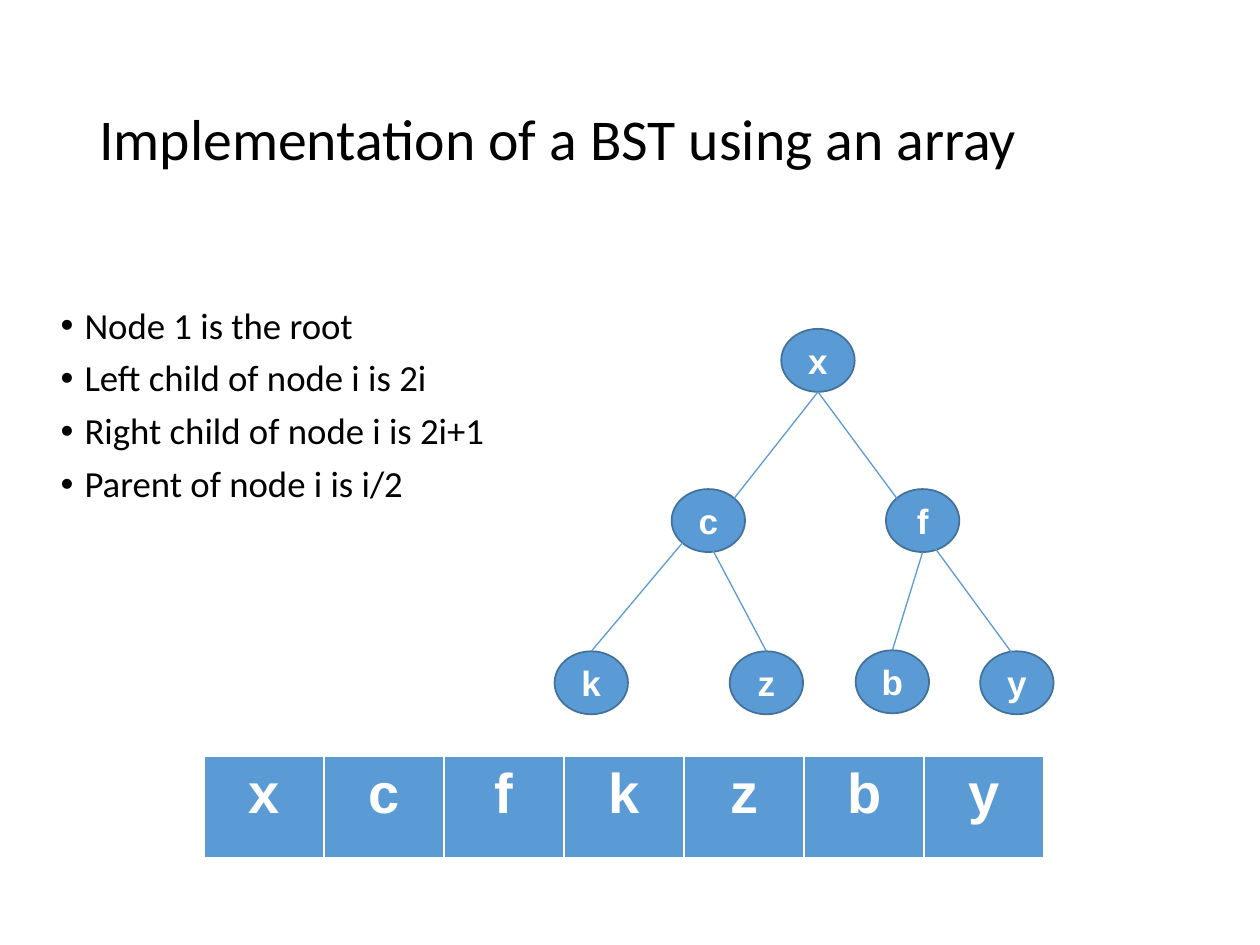
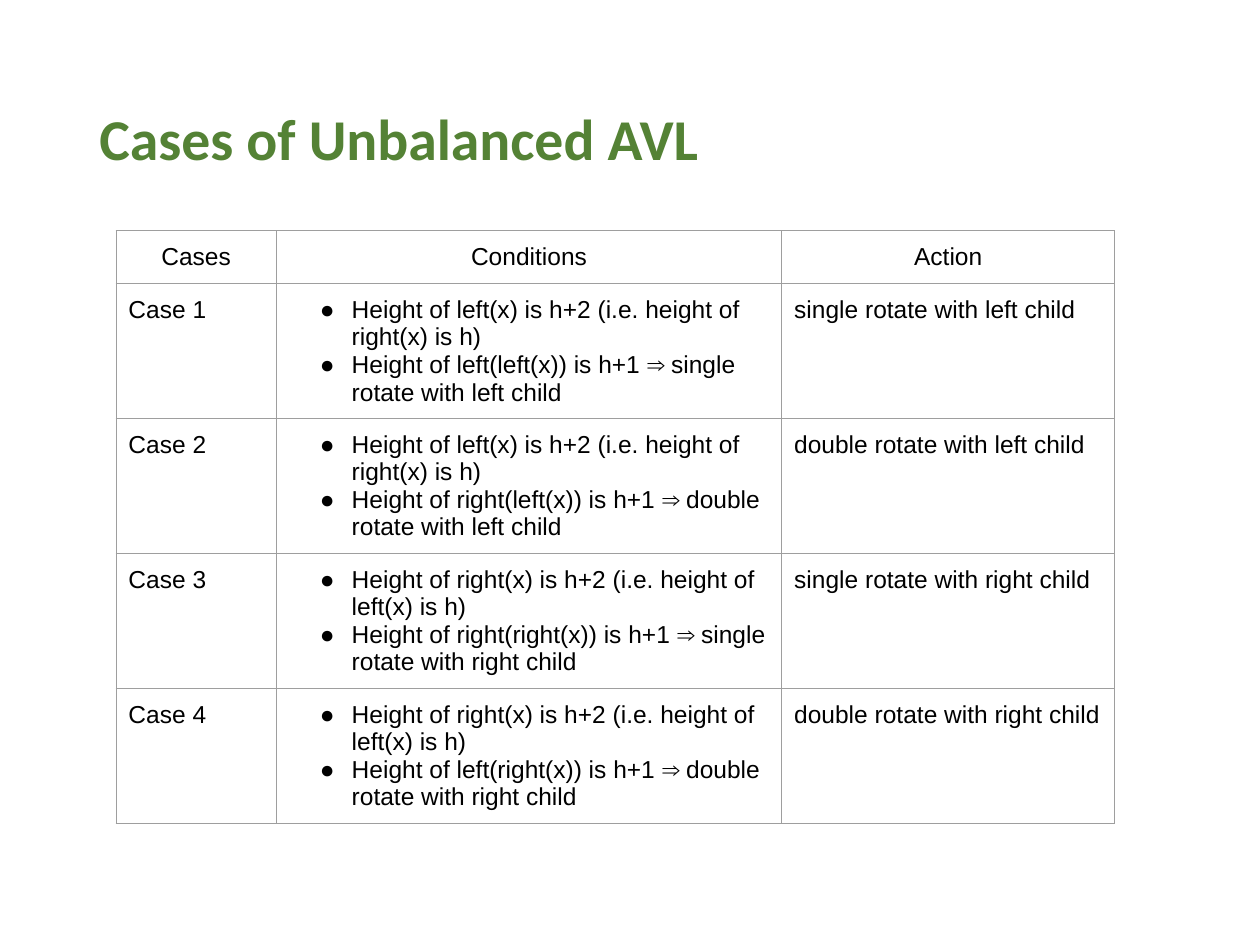
from dataclasses import dataclass

from lxml.etree import SubElement
from pptx import Presentation
from pptx.dml.color import RGBColor
from pptx.enum.shapes import MSO_CONNECTOR as Link, MSO_SHAPE as Form
from pptx.enum.text import MSO_ANCHOR as Anchor, MSO_AUTO_SIZE as Fit, PP_ALIGN as Align
from pptx.oxml.ns import qn
from pptx.slide import Slide
from pptx.table import Table, _Cell as Cell
from pptx.text.text import TextFrame as Frame, _Paragraph as Para
from pptx.util import Cm, Pt

HUES = {"black": "000000", "white": "FFFFFF", "blue": "5B9BD5",
        "navy": "42719B", "green": "548235", "grey": "9E9E9E"}
NODE_W, NODE_H = 1.48, 1.27

Point = tuple[float, float]
TOP, BASE = (0.5, 0), (0.5, 1)
TOP_LEFT, TOP_RIGHT, LOW_LEFT = (0.15, 0.15), (0.85, 0.15), (0.15, 0.85)


@dataclass(frozen=True)
class Style:
    size: int
    font: str = "Arial"
    hue: str = "black"
    bold: bool = False


@dataclass(frozen=True)
class Node:
    key: str
    left: float
    top: float

    def at(self, spot: Point) -> Point:
        """Slide point for a spot given as shares of the node's box."""
        return self.left + spot[0] * NODE_W, self.top + spot[1] * NODE_H


@dataclass(frozen=True)
class Edge:
    up: str
    down: str
    start: Point = BASE
    end: Point = TOP


@dataclass(frozen=True)
class Case:
    tall: str
    low: str
    inner: str
    turn: str

    @property
    def action(self) -> str:
        return f"{self.turn} rotate with {self.tall} child"

    @property
    def rules(self) -> list[str]:
        return [f"Height of {self.tall}(x) is h+2 (i.e. height of {self.low}(x) is h)",
                f"Height of {self.inner}({self.tall}(x)) is h+1 ⇒ {self.action}"]


HEAD = Style(33, "Calibri")
GREEN_HEAD = Style(33, "Calibri", "green", True)
LIST = Style(21, "Calibri")
KEY = Style(20, hue="white", bold=True)
SLOT = Style(32, hue="white", bold=True)
GRID = Style(14)

FACTS = ["Node 1 is the root", "Left child of node i is 2i",
         "Right child of node i is 2i+1", "Parent of node i is i/2"]
NODES = [Node("x", 15.75, 6.63), Node("c", 13.54, 9.86), Node("f", 17.86, 9.86),
         Node("k", 11.18, 13.13), Node("z", 14.71, 13.13),
         Node("b", 17.25, 13.11), Node("y", 19.76, 13.13)]
EDGES = [Edge("x", "c", end=TOP_RIGHT), Edge("x", "f", end=TOP_LEFT),
         Edge("f", "y", (0.67, 0.94), (0.44, 0.04)), Edge("c", "z", (0.52, 0.88)),
         Edge("f", "b"), Edge("c", "k", LOW_LEFT)]
CASES = [Case("left", "right", "left", "single"), Case("left", "right", "right", "double"),
         Case("right", "left", "right", "single"), Case("right", "left", "left", "double")]


def tint(name: str) -> RGBColor:
    return RGBColor.from_string(HUES[name])


def write(para: Para, text: str, style: Style, align: Align = Align.LEFT) -> None:
    para.alignment = align
    run = para.add_run()
    run.text = text
    font = run.font
    font.name, font.size, font.bold = style.font, Pt(style.size), style.bold
    font.color.rgb = tint(style.hue)


def mark(para: Para, sign: str, left: float, hang: float) -> None:
    """Give a paragraph a hanging bullet."""
    props = para._p.get_or_add_pPr()
    props.set("marL", str(Cm(left)))
    props.set("indent", str(-Cm(hang)))
    SubElement(props, qn("a:buFont"), typeface="Arial")
    SubElement(props, qn("a:buChar"), char=sign)


def write_list(frame: Frame, items: list[str], style: Style, sign: str,
               left: float, hang: float) -> None:
    for i, item in enumerate(items):
        para = frame.add_paragraph() if i else frame.paragraphs[0]
        write(para, item, style)
        mark(para, sign, left, hang)


def place(shape, left: float, top: float, width: float, height: float) -> None:
    shape.left, shape.top = Cm(left), Cm(top)
    shape.width, shape.height = Cm(width), Cm(height)


def set_title(slide: Slide, text: str, style: Style) -> None:
    title = slide.shapes.title
    place(title, 1.75, 1.02, 21.9, 3.68)
    frame = title.text_frame
    frame.auto_size, frame.vertical_anchor = Fit.NONE, Anchor.MIDDLE
    para = frame.paragraphs[0]
    para.line_spacing = 0.9
    write(para, text, style)


def edge_cell(cell: Cell, hue: str, widths: dict[str, float]) -> None:
    """Draw a cell's borders; call before setting its fill."""
    props = cell._tc.get_or_add_tcPr()
    for side, width in widths.items():
        line = SubElement(props, qn(f"a:ln{side}"), w=str(Pt(width)))
        fill = SubElement(line, qn("a:solidFill"))
        SubElement(fill, qn("a:srgbClr"), val=HUES[hue])


def add_grid(slide: Slide, left: float, top: float,
             cols: list[float], rows: list[float]) -> Table:
    grid = slide.shapes.add_table(len(rows), len(cols), Cm(left), Cm(top),
                                  Cm(sum(cols)), Cm(sum(rows))).table
    grid.first_row = grid.horz_banding = False
    for col, width in zip(grid.columns, cols):
        col.width = Cm(width)
    for row, height in zip(grid.rows, rows):
        row.height = Cm(height)
    return grid


def add_node(slide: Slide, node: Node) -> None:
    oval = slide.shapes.add_shape(Form.OVAL, Cm(node.left), Cm(node.top),
                                  Cm(NODE_W), Cm(NODE_H))
    oval.shadow.inherit = False
    oval.fill.solid()
    oval.fill.fore_color.rgb = tint("blue")
    oval.line.color.rgb, oval.line.width = tint("navy"), Pt(1)
    oval.text_frame.vertical_anchor = Anchor.MIDDLE
    write(oval.text_frame.paragraphs[0], node.key, KEY, Align.CENTER)


def add_edge(slide: Slide, start: Point, end: Point) -> None:
    line = slide.shapes.add_connector(Link.STRAIGHT, *map(Cm, start + end))
    line.line.color.rgb, line.line.width = tint("blue"), Pt(0.75)
    SubElement(line._element.spPr, qn("a:effectLst"))


def add_tree(slide: Slide) -> None:
    nodes = {node.key: node for node in NODES}
    for node in NODES:
        add_node(slide, node)
    for edge in EDGES:
        add_edge(slide, nodes[edge.up].at(edge.start), nodes[edge.down].at(edge.end))


def add_array(slide: Slide) -> None:
    grid = add_grid(slide, 4.11, 15.24, [2.42] * len(NODES), [2.08])
    for cell, node in zip(grid.iter_cells(), NODES):
        edge_cell(cell, "white", {"L": 1, "R": 1, "T": 1, "B": 3})
        cell.fill.solid()
        cell.fill.fore_color.rgb = tint("blue")
        write(cell.text_frame.paragraphs[0], node.key, SLOT, Align.CENTER)


def build_array(deck: Presentation) -> None:
    slide = deck.slides.add_slide(deck.slide_layouts[1])
    set_title(slide, "Implementation of a BST using an array", HEAD)
    body = slide.placeholders[1]
    place(body, 0.97, 6.07, 21.9, 12.09)
    frame = body.text_frame
    frame.auto_size = Fit.NONE
    write_list(frame, FACTS, LIST, "•", 0.48, 0.48)
    for i, para in enumerate(frame.paragraphs):
        para.line_spacing = 0.9
        para.space_before = Pt(7.5 if i else 0)
    add_array(slide)
    add_tree(slide)


def build_cases(deck: Presentation) -> None:
    slide = deck.slides.add_slide(deck.slide_layouts[5])
    set_title(slide, "Cases of Unbalanced AVL", GREEN_HEAD)
    grid = add_grid(slide, 2.34, 4.65, [3.23, 10.19, 6.71], [1.07] + [2.72] * len(CASES))
    for cell in grid.iter_cells():
        edge_cell(cell, "grey", dict.fromkeys("LRTB", 0.75))
        cell.fill.background()
        cell.margin_left = cell.margin_right = Cm(0.25)
        cell.margin_top = cell.margin_bottom = Cm(0.25)
    for col, name in enumerate(["Cases", "Conditions", "Action"]):
        write(grid.cell(0, col).text_frame.paragraphs[0], name, GRID, Align.CENTER)
    for row, case in enumerate(CASES, 1):
        label, rules, action = (grid.cell(row, col).text_frame for col in range(3))
        write(label.paragraphs[0], f"Case {row}", GRID)
        write_list(rules, case.rules, GRID, "●", 1.27, 0.64)
        write(action.paragraphs[0], case.action, GRID)


def main() -> None:
    deck = Presentation()
    deck.slide_width, deck.slide_height = Cm(25.4), Cm(19.05)
    build_array(deck)
    build_cases(deck)
    deck.save("out.pptx")


if __name__ == "__main__":
    main()
